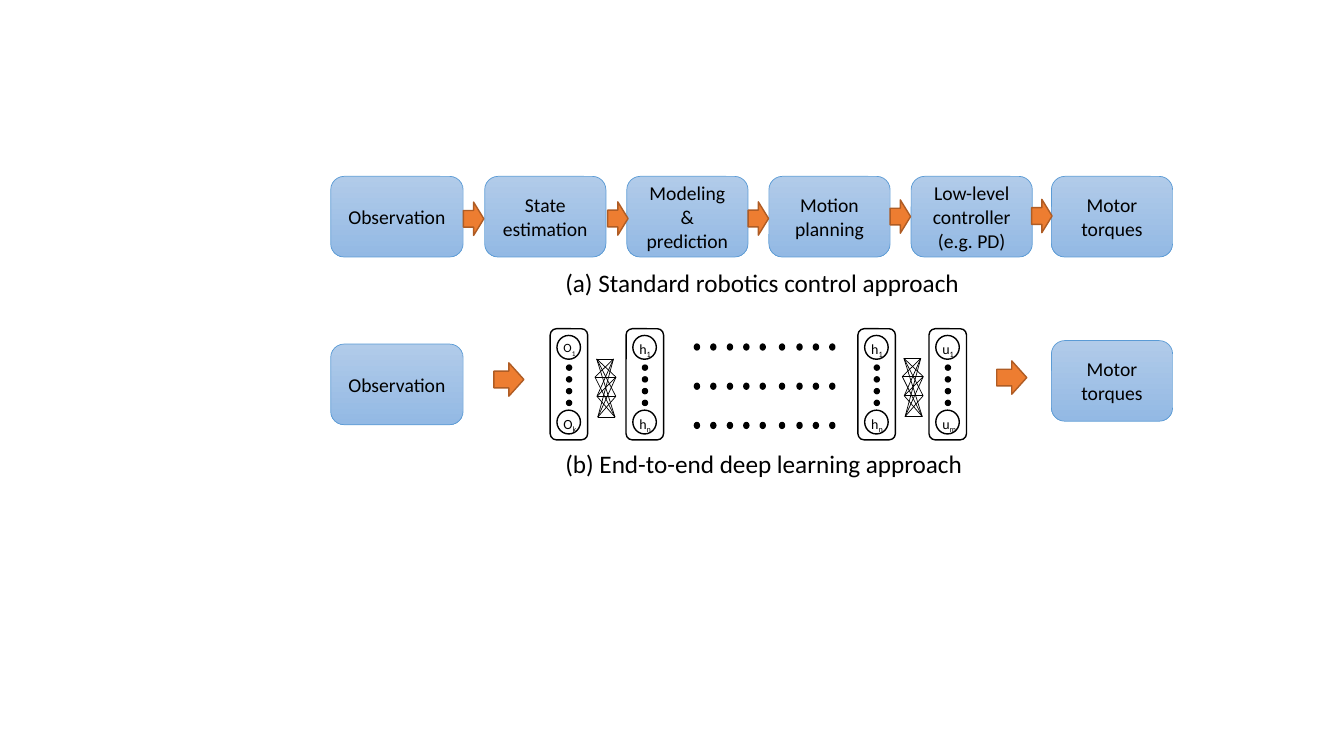
import pptx
import pptx.util
import pptx.dml.color
import pptx.enum.shapes
import pptx.enum.text
import pptx.oxml

Pt = pptx.util.Pt
RGB = pptx.dml.color.RGBColor.from_string
SHAPE = pptx.enum.shapes.MSO_SHAPE
ALIGN = pptx.enum.text.PP_ALIGN
ANCHOR = pptx.enum.text.MSO_ANCHOR

THEME = {
    "font": "Calibri",
    "ink": RGB("000000"), "paper": RGB("FFFFFF"),
    "box": [RGB("B1CBE9"), RGB("93B9E4")], "box_line": RGB("5B9BD5"),
    "arrow": RGB("ED7D31"), "arrow_line": RGB("AF5C24"),
    "box_size": 14, "caption_size": 18, "node_size": 10, "first_node_size": 9,
}

prs = pptx.Presentation()
prs.slide_width, prs.slide_height = Pt(960), Pt(540)
s = prs.slides.add_slide(prs.slide_layouts[6])


def add_shape(kind, x, y, w, h, fill, line, weight=1):
    """Add a preset shape; a list of two fill colours makes a vertical gradient."""
    sp = s.shapes.add_shape(kind, Pt(x), Pt(y), Pt(w), Pt(h))
    sp.shadow.inherit = False
    if isinstance(fill, list):
        sp.fill.gradient()
        sp.fill.gradient_angle = 270
        for stop, color in zip(sp.fill.gradient_stops, fill):
            stop.color.rgb = color
    else:
        sp.fill.solid()
        sp.fill.fore_color.rgb = fill
    sp.line.color.rgb = line
    sp.line.width = Pt(weight)
    return sp


def write(sp, text, size, subscript="", align=ALIGN.LEFT, **frame):
    """Write one paragraph, with an optional subscript run."""
    tf = sp.text_frame
    for name, value in frame.items():
        setattr(tf, name, value)
    p = tf.paragraphs[0]
    p.alignment = align
    for part in filter(None, (text, subscript)):
        r = p.add_run()
        r.text = part
        for name, value in {"name": THEME["font"], "size": Pt(size)}.items():
            setattr(r.font, name, value)
        r.font.color.rgb = THEME["ink"]
    if subscript:
        r.font._element.set("baseline", "-25000")


# Process boxes of both approaches
boxes = [
    ("Observation", 236.2, 126, 94.6),
    ("State estimation", 346.2, 126, 86.6),
    ("Modeling & prediction", 447.7, 126, 86.6),
    ("Motion planning", 549.2, 126, 86.6),
    ("Low-level controller (e.g. PD)", 650.8, 126, 86.6),
    ("Motor torques", 751, 126, 86.6),
    ("Observation", 236.2, 245.8, 94.6),
    ("Motor torques", 751, 243.3, 86.6),
]
for text, x, y, w in boxes:
    sp = add_shape(SHAPE.ROUNDED_RECTANGLE, x, y, w, 57.6,
                   THEME["box"], THEME["box_line"], 0.5)
    write(sp, text, THEME["box_size"], align=ALIGN.CENTER,
          word_wrap=True, vertical_anchor=ANCHOR.MIDDLE)

# Block arrows between the stages
arrows = [
    (331, 144.4, 14.6), (434, 144.2, 14.6), (534.4, 144.2, 14.6),
    (635.8, 142.8, 14.6), (736.9, 142.4, 14.6),
    (352.8, 259.2, 21.4), (712, 257.8, 21.4),
]
for x, y, w in arrows:
    add_shape(SHAPE.RIGHT_ARROW, x, y, w, 23.8, THEME["arrow"], THEME["arrow_line"])

# Network layers: frame, first and last node, dots between them
layers = [
    (393, "O", "1", "k", THEME["first_node_size"]),
    (447.2, "h", "1", "n", THEME["node_size"]),
    (612.8, "h", "1", "n", THEME["node_size"]),
    (663.6, "u", "1", "m", THEME["node_size"]),
]
for x, letter, first, last, first_size in layers:
    add_shape(SHAPE.ROUNDED_RECTANGLE, x, 234.8, 26.8, 79.4,
              THEME["paper"], THEME["ink"])
    for y, index, size in ((239.6, first, first_size), (293, last, THEME["node_size"])):
        add_shape(SHAPE.OVAL, x + 4.8, y, 16.8, 17, THEME["paper"], THEME["ink"])
        tb = s.shapes.add_textbox(Pt(x + 2.4), Pt(y), Pt(27), Pt(19.4))
        write(tb, letter, size, index, word_wrap=True, margin_right=0)
    for i in range(4):
        add_shape(SHAPE.OVAL, x + 11.7, 260.8 + 8.4 * i, 3.6, 3.6,
                  THEME["ink"], THEME["ink"])

# Dotted rows standing for the hidden layers
for y in (245.8, 273.8, 301.8):
    for x in (496, 507.7, 519.6, 531.3, 543, 556.8, 569.3, 581, 592.7):
        add_shape(SHAPE.OVAL, x, y, 3.6, 4.2, THEME["ink"], THEME["ink"])

# Meshes: every left point joins every right point, except one pair
mesh_y = (0, 13, 26.7, 41.6)
left_x = (1.2, 0, 1.4, 2)
right_x = (13.2, 15, 14.9, 14.3)
for x, y in ((425, 256.4), (644.5, 256)):
    for a in range(4):
        for b in range(4):
            if (a, b) == (1, 2):
                continue
            cn = s.shapes.add_connector(
                pptx.enum.shapes.MSO_CONNECTOR.STRAIGHT,
                Pt(x + left_x[a]), Pt(y + mesh_y[a]),
                Pt(x + right_x[b]), Pt(y + mesh_y[b]))
            cn.line.color.rgb = THEME["ink"]
            cn.line.width = Pt(0.5)
            cn._element.spPr.append(pptx.oxml.parse_xml(
                '<a:effectLst xmlns:a="http://schemas.openxmlformats.org/drawingml/2006/main"/>'))

# Captions
captions = [
    ("(a) Standard robotics control approach", 187.2, 298.8),
    ("(b) End-to-end deep learning approach", 316.8, 301.7),
]
for text, y, w in captions:
    tb = s.shapes.add_textbox(Pt(396.7), Pt(y), Pt(w), Pt(29))
    write(tb, text, THEME["caption_size"], word_wrap=False)

prs.save("out.pptx")
